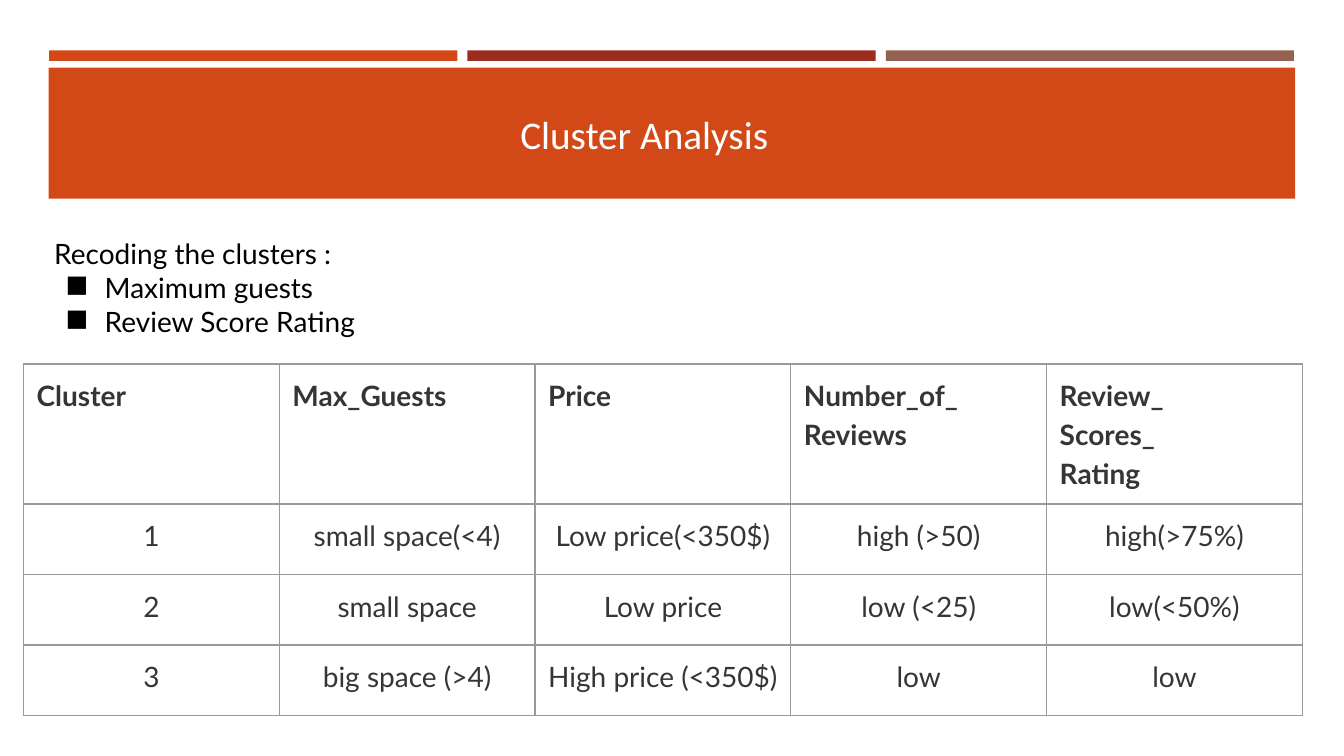
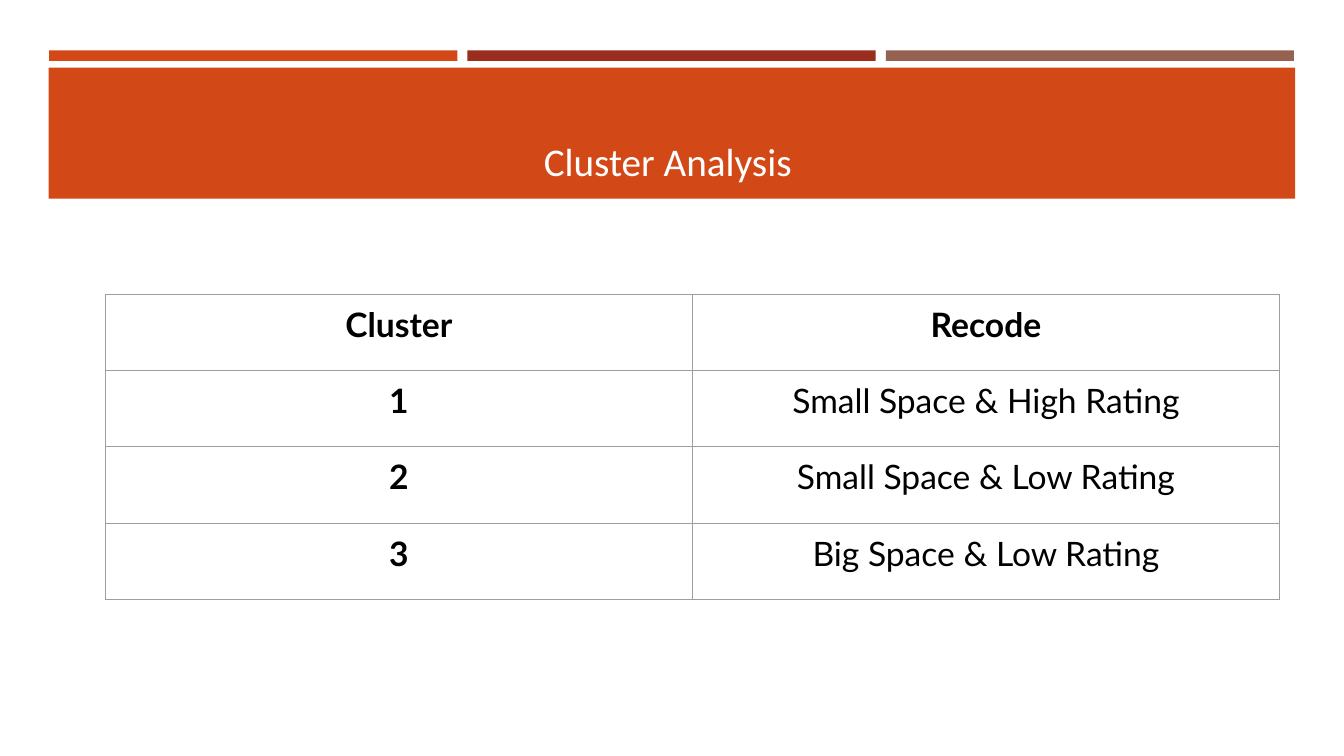
from lxml import etree
from pptx import Presentation
from pptx.dml.color import RGBColor
from pptx.enum import shapes, text
from pptx.oxml import ns
from pptx.util import Pt

HUE = {
    "orange": "D34817", "red": "9B2D1F", "brown": "956251",
    "white": "FFFFFF", "black": "000000", "dark": "353535",
    "rule": "9A9A9A", "edge": "9E9E9E",
}
MID = text.PP_ALIGN.CENTER
LEFT = text.PP_ALIGN.LEFT


def write(par, words, size, hue, face="Lato", bold=False, align=LEFT):
    par.alignment = align
    run = par.add_run()
    run.text = words
    font = run.font
    font.name, font.size, font.bold = face, Pt(size), bold
    font.color.rgb = RGBColor.from_string(HUE[hue])


def grid(slide, left, top, wide, highs, rows, style):
    """Add a ruled table; style(row, col) gives the text look, left inset and line spacing."""
    cols = len(rows[0])
    frame = slide.shapes.add_table(len(rows), cols, Pt(left), Pt(top),
                                   Pt(wide * cols), Pt(sum(highs)))
    table = frame.table
    table.first_row = table.horz_banding = False
    for col in table.columns:
        col.width = Pt(wide)
    for r, (high, row) in enumerate(zip(highs, rows)):
        table.rows[r].height = Pt(high)
        for c, words in enumerate(row):
            look, inset, gap, rule, thick = style(r, c)
            cell = table.cell(r, c)
            cell.fill.background()
            cell.margin_left, cell.margin_right = Pt(inset), Pt(min(inset, 7.2))
            cell.margin_top = cell.margin_bottom = Pt(7.2)
            for n, line in enumerate(words.split("\n")):
                body = cell.text_frame
                par = body.add_paragraph() if n else body.paragraphs[0]
                par.line_spacing = gap
                write(par, line, **look)
            props = cell._tc.get_or_add_tcPr()
            for n, side in enumerate(("lnL", "lnR", "lnT", "lnB")):
                line = etree.Element(ns.qn("a:" + side), w=str(Pt(thick)))
                fill = etree.SubElement(line, ns.qn("a:solidFill"))
                etree.SubElement(fill, ns.qn("a:srgbClr"), val=HUE[rule])
                props.insert(n, line)


prs = Presentation()
prs.slide_width, prs.slide_height = Pt(960), Pt(540)

# Shared bands and title; the extra right inset moves the centred title left
bands = [(35.1 + 298.8 * n, 36, 291.6, 7.5, hue)
         for n, hue in enumerate(("orange", "red", "brown"))]
bands.append((34.8, 48.4, 890.4, 93.6, "orange"))
heads = [(text.MSO_ANCHOR.MIDDLE, 40), (text.MSO_ANCHOR.BOTTOM, 6.4)]
for anchor, shift in heads:
    slide = prs.slides.add_slide(prs.slide_layouts[6])
    for x, y, w, h, hue in bands:
        band = slide.shapes.add_shape(shapes.MSO_SHAPE.RECTANGLE,
                                      Pt(x), Pt(y), Pt(w), Pt(h))
        band.shadow.inherit = False
        band.fill.solid()
        band.fill.fore_color.rgb = RGBColor.from_string(HUE[hue])
        band.line.fill.background()
    title = slide.shapes.add_textbox(Pt(46), Pt(55.4), Pt(868.4), Pt(80)).text_frame
    title.word_wrap = True
    title.vertical_anchor = anchor
    title.margin_right = Pt(7.2 + shift)
    write(title.paragraphs[0], "Cluster Analysis", 28, "white", "Calibri", align=MID)

first, second = prs.slides

# Slide 1: recoded variables
body = first.shapes.add_textbox(Pt(31.7), Pt(165.6), Pt(748.8), Pt(90)).text_frame
body.word_wrap = True
write(body.paragraphs[0], "Recoding the clusters :", 20, "black")
for item in ("Maximum guests", "Review Score Rating"):
    par = body.add_paragraph()
    props = par._p.get_or_add_pPr()
    props.set("marL", str(Pt(36)))
    props.set("indent", str(Pt(-28)))
    tint = etree.SubElement(props, ns.qn("a:buClr"))
    etree.SubElement(tint, ns.qn("a:srgbClr"), val=HUE["black"])
    etree.SubElement(props, ns.qn("a:buChar"), char="◼")
    write(par, item, 20, "black")


def traits(r, c):
    look = dict(size=20, hue="dark", bold=r == 0, align=MID if r else LEFT)
    return look, 5 if r else 9.4, 1.15, "rule", 1


grid(first, 16.8, 260, 182.7, [100, 50.4, 50.4, 50.4], [
    ["Cluster", "Max_Guests", "Price", "Number_of_\nReviews",
     "Review_\nScores_\nRating"],
    ["1", "small space(<4)", "Low price(<350$)", "high (>50)", "high(>75%)"],
    ["2", "small space", "Low price", "low (<25)", "low(<50%)"],
    ["3", "big space (>4)", "High price (<350$)", "low", "low"],
], traits)


# Slide 2: names of the clusters
def names(r, c):
    look = dict(size=24, hue="black", bold=r == 0 or c == 0, align=MID)
    return look, 7.2, 1.0, "edge", 0.75


grid(second, 75.2, 210.2, 419.4, [54.5] * 4, [
    ["Cluster", "Recode"],
    ["1", "Small Space & High Rating"],
    ["2", "Small Space & Low Rating"],
    ["3", "Big Space & Low Rating"],
], names)

prs.save("out.pptx")
